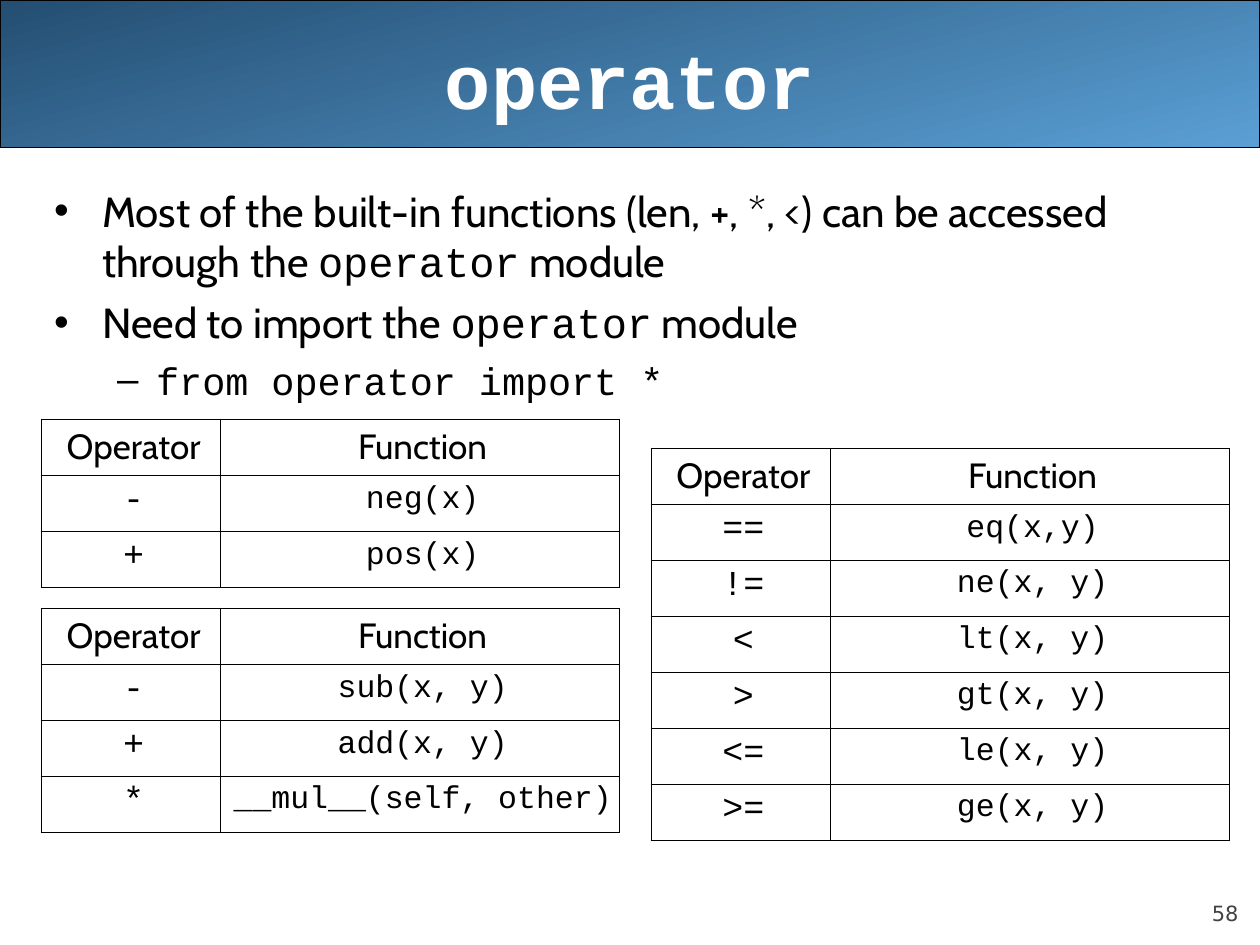
"""Build the slide on Python's operator module with its three lookup tables."""
from lxml import etree
from pptx import Presentation
from pptx.dml.color import RGBColor
from pptx.enum import shapes, text
from pptx.oxml import ns
from pptx.util import Inches, Pt

BLACK = RGBColor(0x00, 0x00, 0x00)
WHITE = RGBColor(0xFF, 0xFF, 0xFF)
GRAY = RGBColor(0x42, 0x42, 0x42)
DARK_BLUE = RGBColor(0x24, 0x4E, 0x72)
LIGHT_BLUE = RGBColor(0x5A, 0x9F, 0xD4)
SANS, MONO = "Cabin", "Courier New"
THIN, THICK = Pt(0.45), Pt(1.08)


def add_bullet(paragraph, character, left, hanging):
    properties = paragraph._p.get_or_add_pPr()
    properties.set("marL", str(Inches(left)))
    properties.set("indent", str(-Inches(hanging)))
    color = etree.SubElement(properties, ns.qn("a:buClr"))
    etree.SubElement(color, ns.qn("a:srgbClr"), val=str(BLACK))
    etree.SubElement(properties, ns.qn("a:buFont"), typeface="Arial")
    etree.SubElement(properties, ns.qn("a:buChar"), char=character)


def add_borders(cell, left, top):
    properties = cell._tc.get_or_add_tcPr()
    for side, width in (("L", left), ("R", THIN), ("T", top), ("B", THIN)):
        line = etree.SubElement(properties, ns.qn(f"a:ln{side}"), w=str(width))
        fill = etree.SubElement(line, ns.qn("a:solidFill"))
        etree.SubElement(fill, ns.qn("a:srgbClr"), val=str(BLACK))


presentation = Presentation()
presentation.slide_width, presentation.slide_height = Inches(10), Inches(7.5)
slide = presentation.slides.add_slide(presentation.slide_layouts[1])
title, body = slide.placeholders[0], slide.placeholders[1]

banner = slide.shapes.add_shape(
    shapes.MSO_SHAPE.ROUNDED_RECTANGLE, 0, 0, Inches(10), Inches(1.17))
banner.adjustments[0] = 0
banner.shadow.inherit = False
banner.fill.gradient()
banner.fill.gradient_angle = 285
for stop, color in zip(banner.fill.gradient_stops, (DARK_BLUE, LIGHT_BLUE)):
    stop.color.rgb = color
banner.line.color.rgb = BLACK
banner.line.width = Pt(0.75)
title.element.addprevious(banner.element)

number = slide.shapes.add_textbox(Inches(9), Inches(6.95), Inches(0.83), Inches(0.4))
frame = number.text_frame
frame.word_wrap = True
frame.vertical_anchor = text.MSO_ANCHOR.BOTTOM
frame.margin_left = frame.margin_top = frame.margin_right = frame.margin_bottom = 0
paragraph = frame.paragraphs[0]
paragraph.text = "58"
paragraph.alignment = text.PP_ALIGN.RIGHT
paragraph.font.name = "DejaVu Sans"
paragraph.font.size = Pt(12)
paragraph.font.color.rgb = GRAY

title.left, title.top, title.width, title.height = 0, 0, Inches(10), Inches(1.25)
title.left, title.width = Inches(0.5), Inches(9)
title.text_frame.text = "operator"
title.text_frame.vertical_anchor = text.MSO_ANCHOR.MIDDLE
paragraph = title.text_frame.paragraphs[0]
paragraph.alignment = text.PP_ALIGN.CENTER
paragraph.font.name = MONO
paragraph.font.size = Pt(44)
paragraph.font.bold = True
paragraph.font.color.rgb = WHITE

body.left, body.top = Inches(0.33), Inches(1.42)
body.width, body.height = Inches(9.5), Inches(1.83)
frame = body.text_frame
frame.auto_size = text.MSO_AUTO_SIZE.NONE
bullets = [
    (0, 0, 24, [
        ("Most of the built-in functions (len, +, *, <) can be accessed through the ", SANS),
        ("operator", MONO), (" module", SANS)]),
    (0, 6, 24, [("Need to import the ", SANS), ("operator", MONO), (" module", SANS)]),
    (1, 5.5, 22, [("from operator import *", MONO)]),
]
for index, (level, space, size, runs) in enumerate(bullets):
    paragraph = frame.add_paragraph() if index else frame.paragraphs[0]
    paragraph.level = level
    add_bullet(paragraph, *(("–", 0.81, 0.31) if level else ("•", 0.38, 0.38)))
    paragraph.space_before = Pt(space)
    paragraph.font.size = Pt(size)
    paragraph.font.color.rgb = BLACK
    for words, font_name in runs:
        run = paragraph.add_run()
        run.text = words
        run.font.name = font_name

tables = [
    (0.33, 4.83, [("-", "sub(x, y)"), ("+", "add(x, y)"), ("*", "__mul__(self, other)")]),
    (0.33, 3.33, [("-", "neg(x)"), ("+", "pos(x)")]),
    (5.17, 3.56, [("==", "eq(x,y)"), ("!=", "ne(x, y)"), ("<", "lt(x, y)"),
                  (">", "gt(x, y)"), ("<=", "le(x, y)"), (">=", "ge(x, y)")]),
]
for left, top, operators in tables:
    rows = [("Operator", "Function")] + operators
    table = slide.shapes.add_table(
        len(rows), 2, Inches(left), Inches(top),
        Inches(4.58), Inches(len(rows) * 4 / 9)).table
    table.first_row = table.horz_banding = False
    table.columns[0].width, table.columns[1].width = Inches(1.42), Inches(3.17)
    for row_index, row in enumerate(rows):
        for column_index, words in enumerate(row):
            cell = table.cell(row_index, column_index)
            add_borders(cell, THIN if column_index else THICK,
                        THIN if row_index else THICK)
            cell.fill.background()
            cell.margin_left = cell.margin_right = Inches(0.06)
            cell.margin_top = cell.margin_bottom = Inches(0.05)
            paragraph = cell.text_frame.paragraphs[0]
            paragraph.text = words
            paragraph.alignment = text.PP_ALIGN.CENTER
            paragraph._p.get_or_add_pPr().set("marL", str(Inches(0.04)))
            paragraph.font.name = MONO if row_index else SANS
            paragraph.font.size = Pt(18 if row_index and column_index else 20)
            paragraph.font.color.rgb = BLACK

presentation.save("out.pptx")
